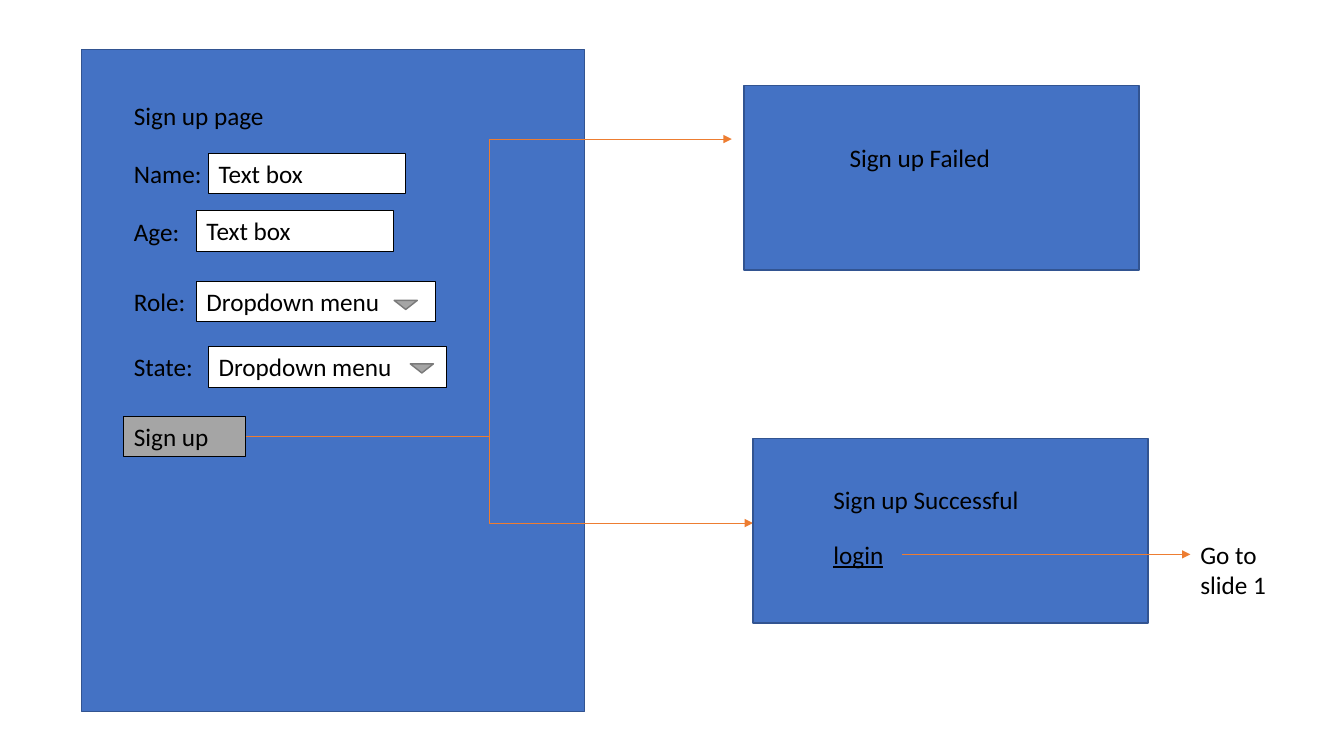
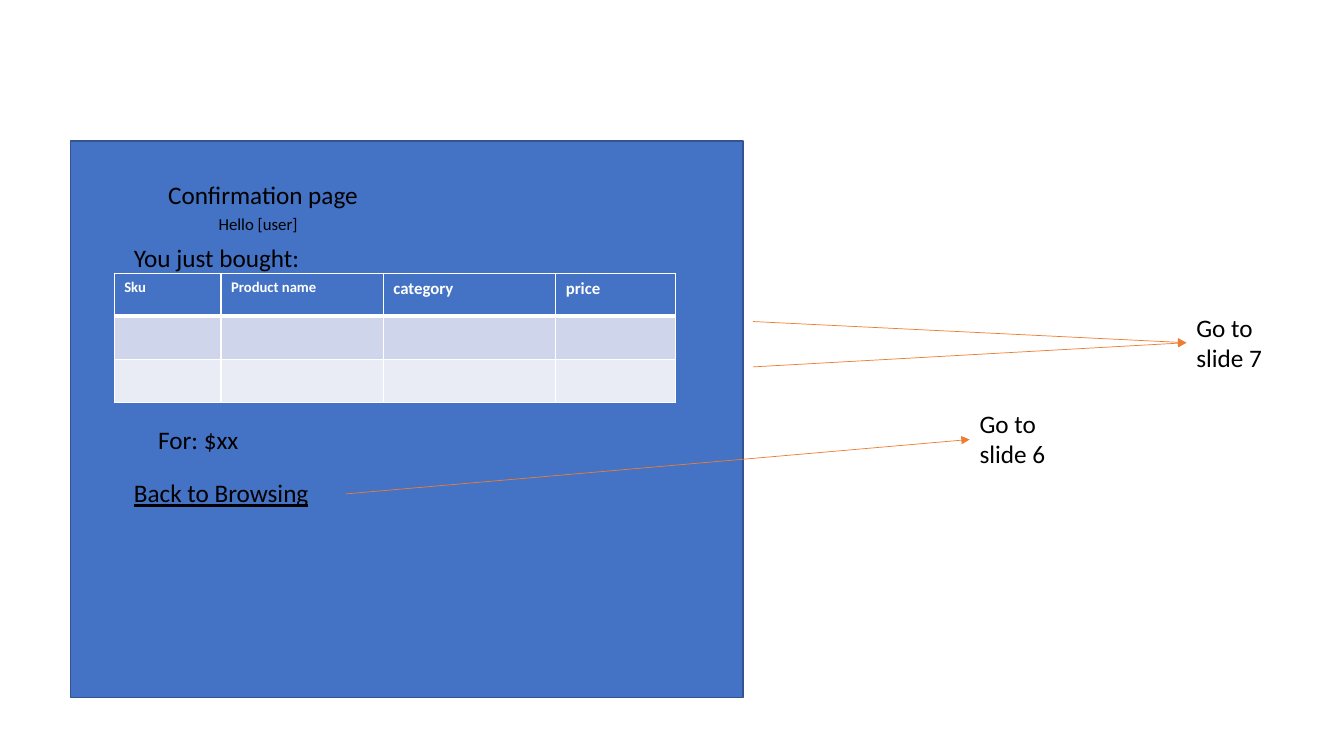
import pptx
import pptx.util
import pptx.dml.color
import pptx.enum.shapes
import pptx.enum.text
import pptx.oxml
import pptx.oxml.ns

Pt = pptx.util.Pt
qn = pptx.oxml.ns.qn
KIND = pptx.enum.shapes.MSO_SHAPE
JOIN = pptx.enum.shapes.MSO_CONNECTOR
TEXT = pptx.enum.text


class Deck:
    """Wireframe style and the slide being drawn."""

    hues = {"panel": "4472C4", "edge": "325491", "ink": "000000",
            "paper": "FFFFFF", "grey": "A5A5A5", "dark": "7A7A7A",
            "arrow": "ED7D31", "odd": "CFD5EA", "even": "E9EBF5"}
    font = {"name": "Calibri", "size": Pt(18), "bold": False, "underline": False}
    row = 29.08

    def __init__(self):
        """Open a blank wide deck."""
        self.show = pptx.Presentation()
        self.show.slide_width, self.show.slide_height = Pt(960), Pt(540)

    def page(self):
        """Start a new blank slide."""
        self.slide = self.show.slides.add_slide(self.show.slide_layouts[6])

    def hue(self, name):
        """Return the named colour."""
        return pptx.dml.color.RGBColor.from_string(self.hues[name])

    def node(self, host, tag, **attrs):
        """Append an XML element to host."""
        item = pptx.oxml.parse_xml(f"<{tag} {pptx.oxml.ns.nsdecls('a')}/>")
        for key, value in attrs.items():
            item.set(key, str(value))
        host.append(item)
        return item

    def words(self, frame, text, ink="ink", **style):
        """Put styled words in a text frame."""
        run = frame.paragraphs[0].add_run()
        run.text = text
        run.font.color.rgb = self.hue(ink)
        for key, value in {**self.font, **style}.items():
            setattr(run.font, key, value)

    def fit(self, frame, text, **style):
        """Put words in a wrapped frame that grows."""
        look = {"word_wrap": True, "vertical_anchor": TEXT.MSO_ANCHOR.TOP,
                "auto_size": TEXT.MSO_AUTO_SIZE.SHAPE_TO_FIT_TEXT}
        for key, value in look.items():
            setattr(frame, key, value)
        frame.paragraphs[0].alignment = TEXT.PP_ALIGN.LEFT
        self.words(frame, text, **style)

    def label(self, text, left, top, width, height=row, **style):
        """Add plain text."""
        box = self.slide.shapes.add_textbox(Pt(left), Pt(top), Pt(width), Pt(height))
        self.fit(box.text_frame, text, **style)

    def shape(self, left, top, width, height, fill="panel", edge="edge",
              weight=1, kind=KIND.RECTANGLE):
        """Add a filled, outlined shape."""
        form = self.slide.shapes.add_shape(
            kind, Pt(left), Pt(top), Pt(width), Pt(height))
        form.shadow.inherit = False
        form.fill.solid()
        form.fill.fore_color.rgb = self.hue(fill)
        form.line.color.rgb = self.hue(edge)
        form.line.width = Pt(weight)
        return form

    def field(self, text, left, top, width, fill="paper"):
        """Add a boxed form control."""
        box = self.shape(left, top, width, self.row, fill, "ink", 0.75)
        self.fit(box.text_frame, text)

    def caret(self, left, top):
        """Add the marker of a dropdown."""
        mark = self.shape(left, top, 16.56, 6.48, "grey", "dark",
                          kind=KIND.ISOSCELES_TRIANGLE)
        mark.rotation = 180

    def arrow(self, start, end, bend=None):
        """Draw an arrow; bend is the share of the width before the turn."""
        kind = JOIN.STRAIGHT if bend is None else JOIN.ELBOW
        line = self.slide.shapes.add_connector(kind, *map(Pt, start + end))
        line.line.color.rgb = self.hue("arrow")
        line.line.width = Pt(0.5)
        props = line._element.spPr
        self.node(props.find(qn("a:ln")), "a:tailEnd", type="triangle")
        self.node(props, "a:effectLst")
        if bend is not None:
            shape = props.find(qn("a:prstGeom"))
            guides = shape.find(qn("a:avLst"))
            if guides is None:
                guides = self.node(shape, "a:avLst")
            self.node(guides, "a:gd", name="adj1", fmla=f"val {round(bend * 100000)}")

    def border(self, cell, side, weight):
        """Draw one white cell border."""
        line = self.node(cell._tc.get_or_add_tcPr(), f"a:ln{side}", w=int(Pt(weight)))
        fill = self.node(line, "a:solidFill")
        self.node(fill, "a:srgbClr", val=self.hues["paper"])

    def table(self, left, top, widths, height, heads, bands):
        """Add a table with a header and empty banded rows."""
        fills = ["panel"] + bands
        grid = self.slide.shapes.add_table(
            len(fills), len(widths), Pt(left), Pt(top),
            Pt(sum(widths)), Pt(height * len(fills))).table
        for col, width in zip(grid.columns, widths):
            col.width = Pt(width)
        for r, fill in enumerate(fills):
            grid.rows[r].height = Pt(height)
            for cell in grid.rows[r].cells:
                for side in "LRTB":
                    thick = (r, side) in ((0, "B"), (1, "T"))
                    self.border(cell, side, 3 if thick else 1)
                cell.fill.solid()
                cell.fill.fore_color.rgb = self.hue(fill)
        for cell, (text, size) in zip(grid.rows[0].cells, heads):
            self.words(cell.text_frame, text, "paper", size=Pt(size), bold=True)


def signup(deck):
    """Draw the sign up flow."""
    deck.page()
    deck.shape(58.32, 35.28, 359.28, 473.04)
    for text, top, width in (
            ("Sign up page", 68.4, 209.5), ("Name:", 109.44, 75.6),
            ("Age:", 151.2, 72.7), ("Role:", 200.88, 51.84),
            ("State:", 247.68, 60.48)):
        deck.label(text, 88.56, top, width)
    deck.field("Sign up", 88.56, 297.36, 87.12, "grey")
    for text, left, top, width in (
            ("Text box", 149.04, 109.44, 140.9),
            ("Text box", 140.4, 150.48, 140.9),
            ("Dropdown menu", 140.4, 200.88, 170.64),
            ("Dropdown menu", 149.04, 247.68, 169.92)):
        deck.field(text, left, top, width)
    deck.caret(281.52, 214.56)
    deck.caret(293.04, 259.92)
    button = (175.68, 311.76)
    deck.arrow(button, (522.72, 99.36), 0.5)
    deck.shape(531.36, 61.2, 282.24, 131.76)
    deck.arrow(button, (537.84, 373.68), 0.48)
    deck.shape(537.84, 313.2, 282.24, 131.76)
    deck.label("Sign up Failed", 599.76, 97.92, 233.28)
    deck.label("Sign up Successful", 588.24, 342.72, 233.28)
    deck.label("login", 588.24, 381.6, 56.16, underline=True)
    deck.arrow((644.4, 396), (850.32, 396))
    deck.label("Go to slide 1", 850.32, 381.6, 88.56, 50.9)


def confirm(deck):
    """Draw the order page."""
    deck.page()
    deck.shape(50.4, 100.8, 480.24, 397.44)
    deck.label("Confirmation page", 113.04, 124.56, 169.2)
    deck.table(81.6, 195.12, [76.32, 115.92, 123.12, 85.7], 30.8,
               [("Sku", 10.5), ("Product name", 10.5),
                ("category", 12), ("price", 12)], ["odd", "even"])
    deck.label("Back to Browsing", 88.56, 337.68, 157.68, underline=True)
    for start, end in (((537.84, 229.68), (847.44, 244.8)),
                       ((537.84, 262.08), (847.44, 244.8)),
                       ((246.96, 352.8), (692.64, 313.92))):
        deck.arrow(start, end)
    deck.label("Go to slide 7", 847.44, 219.6, 83.52, 50.9)
    deck.label("Go to slide 6", 692.64, 288, 83.52, 50.9)
    deck.label("Hello [user]", 149.04, 149.04, 128.88, 21.8, size=Pt(12))
    deck.label("You just bought:", 88.56, 169.92, 213.84)
    deck.label("For: $xx", 105.84, 299.52, 172.8)


deck = Deck()
signup(deck)
confirm(deck)
deck.show.save("out.pptx")
